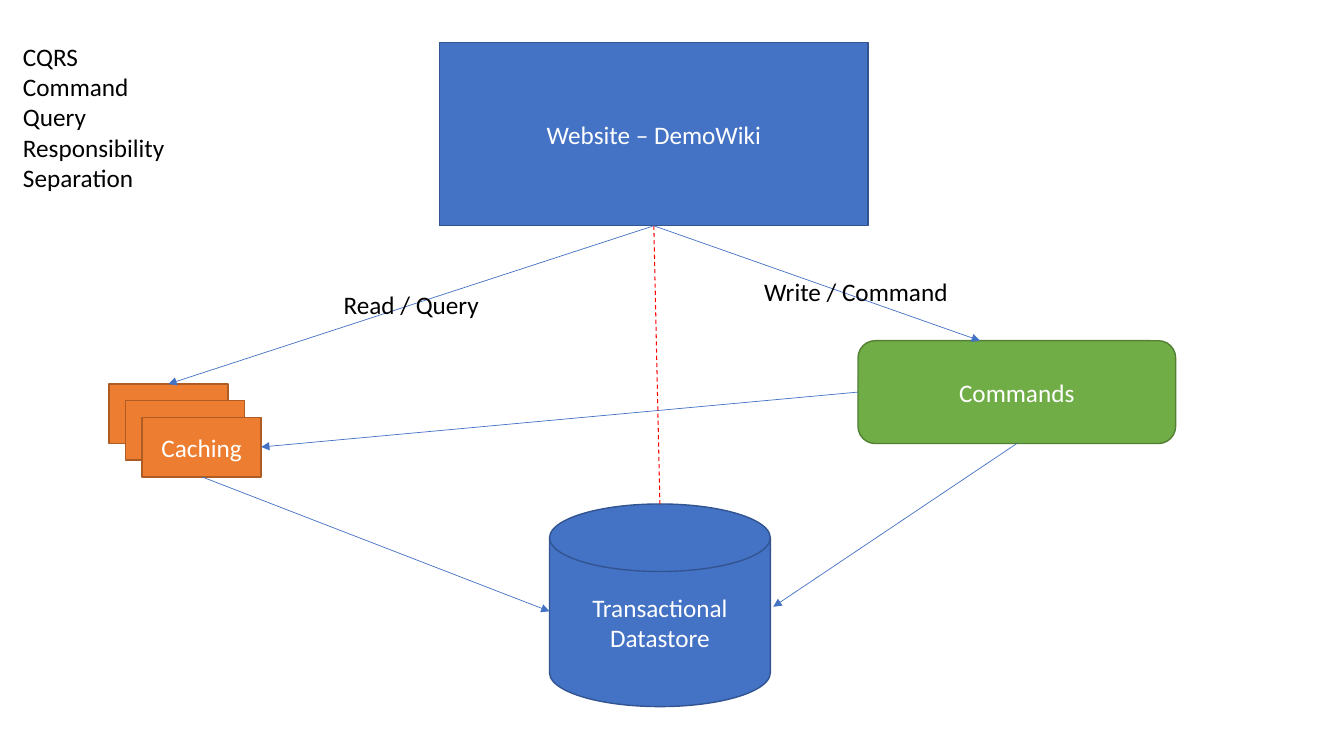
from lxml.etree import SubElement
from pptx import Presentation
from pptx.dml.color import RGBColor
from pptx.enum.dml import MSO_LINE
from pptx.enum.shapes import MSO_CONNECTOR, MSO_SHAPE
from pptx.enum.text import MSO_ANCHOR, PP_ALIGN
from pptx.oxml.ns import qn
from pptx.util import Inches, Pt

BLUE, BLUE_EDGE = "4472C4", "325491"
ORANGE, ORANGE_EDGE = "ED7D31", "AF5C24"
GREEN, GREEN_EDGE = "70AD47", "538035"
RED, WHITE, BLACK = "FF0000", "FFFFFF", "000000"

# Boxes are left, top, width, height in inches
WEBSITE = (4.36, 0.42, 4.25, 1.82)
CACHE = (1.08, 3.81, 1.51, 0.92)
COMMANDS = (8.51, 3.38, 3.15, 1.02)
DATASTORE = (5.45, 5, 2.19, 2.01)


def color(value):
    return RGBColor.from_string(value)


def write_text(frame, text, size=18, font="Calibri", fill=BLACK,
               align=PP_ALIGN.LEFT, anchor=MSO_ANCHOR.TOP):
    frame.word_wrap = True
    frame.vertical_anchor = anchor
    frame.text = text
    for paragraph in frame.paragraphs:
        paragraph.alignment = align
        for run in paragraph.runs:
            run.font.size = Pt(size)
            run.font.name = font
            run.font.color.rgb = color(fill)


def add_node(slide, box, kind, text, fill, edge):
    shape = slide.shapes.add_shape(kind, *map(Inches, box))
    shape.shadow.inherit = False
    shape.fill.solid()
    shape.fill.fore_color.rgb = color(fill)
    shape.line.color.rgb = color(edge)
    shape.line.width = Pt(1)
    write_text(shape.text_frame, text, fill=WHITE,
               align=PP_ALIGN.CENTER, anchor=MSO_ANCHOR.MIDDLE)


def add_label(slide, box, text):
    label = slide.shapes.add_textbox(*map(Inches, box))
    write_text(label.text_frame, text)


def add_link(slide, start, end, stroke=BLUE, width=0.5, arrow=True):
    link = slide.shapes.add_connector(
        MSO_CONNECTOR.STRAIGHT, *map(Inches, start + end))
    link.line.color.rgb = color(stroke)
    link.line.width = Pt(width)
    if arrow:
        SubElement(link.line._get_or_add_ln(), qn("a:tailEnd"), type="triangle")
    else:
        link.line.dash_style = MSO_LINE.DASH
    SubElement(link._element.spPr, qn("a:effectLst"))


def point(box, across, down):
    """Point at the given fractions of a box."""
    left, top, width, height = box
    return left + across * width, top + down * height


def add_cache_stack(slide, box, count=3, step=0.165):
    """Overlapping cards that fill the box; returns the box of each card."""
    left, top, width, height = box
    spread = step * (count - 1)
    cards = [(left + step * i, top + step * i, width - spread, height - spread)
             for i in range(count)]
    for card in cards:
        add_node(slide, card, MSO_SHAPE.FLOWCHART_PROCESS, "Caching",
                 ORANGE, ORANGE_EDGE)
    return cards


def add_architecture(slide):
    # Systems
    add_node(slide, DATASTORE, MSO_SHAPE.FLOWCHART_MAGNETIC_DISK,
             "Transactional\nDatastore", BLUE, BLUE_EDGE)
    add_node(slide, WEBSITE, MSO_SHAPE.RECTANGLE, "Website – DemoWiki",
             BLUE, BLUE_EDGE)
    cards = add_cache_stack(slide, CACHE)
    add_node(slide, COMMANDS, MSO_SHAPE.ROUNDED_RECTANGLE, "Commands",
             GREEN, GREEN_EDGE)

    # Flows between the systems
    website_exit = point(WEBSITE, 0.5, 1)
    flows = [
        (point(cards[-1], 0.5, 1), point(DATASTORE, 0, 0.53)),
        (website_exit, point(cards[0], 0.5, 0)),
        (website_exit, (9.72, 3.38)),
        (point(COMMANDS, 0.5, 1), (7.67, 6.02)),
        (point(COMMANDS, 0, 0.5), point(cards[-1], 1, 0.5)),
    ]
    for start, end in flows:
        add_link(slide, start, end)
    add_link(slide, website_exit, point(DATASTORE, 0.5, 0),
             stroke=RED, width=0.75, arrow=False)

    # Flow names
    add_label(slide, (3.31, 2.82, 1.79, 0.4), "Read / Query")
    add_label(slide, (7.48, 2.69, 2.43, 0.4), "Write / Command")


def main():
    presentation = Presentation()
    presentation.slide_width = Inches(13.33)
    presentation.slide_height = Inches(7.5)
    slide = presentation.slides.add_slide(presentation.slide_layouts[6])
    add_architecture(slide)
    # Meaning of the acronym
    add_label(slide, (0.13, 0.36, 3.43, 1.62),
              "CQRS\nCommand\nQuery\nResponsibility\nSeparation")
    presentation.save("out.pptx")


main()
